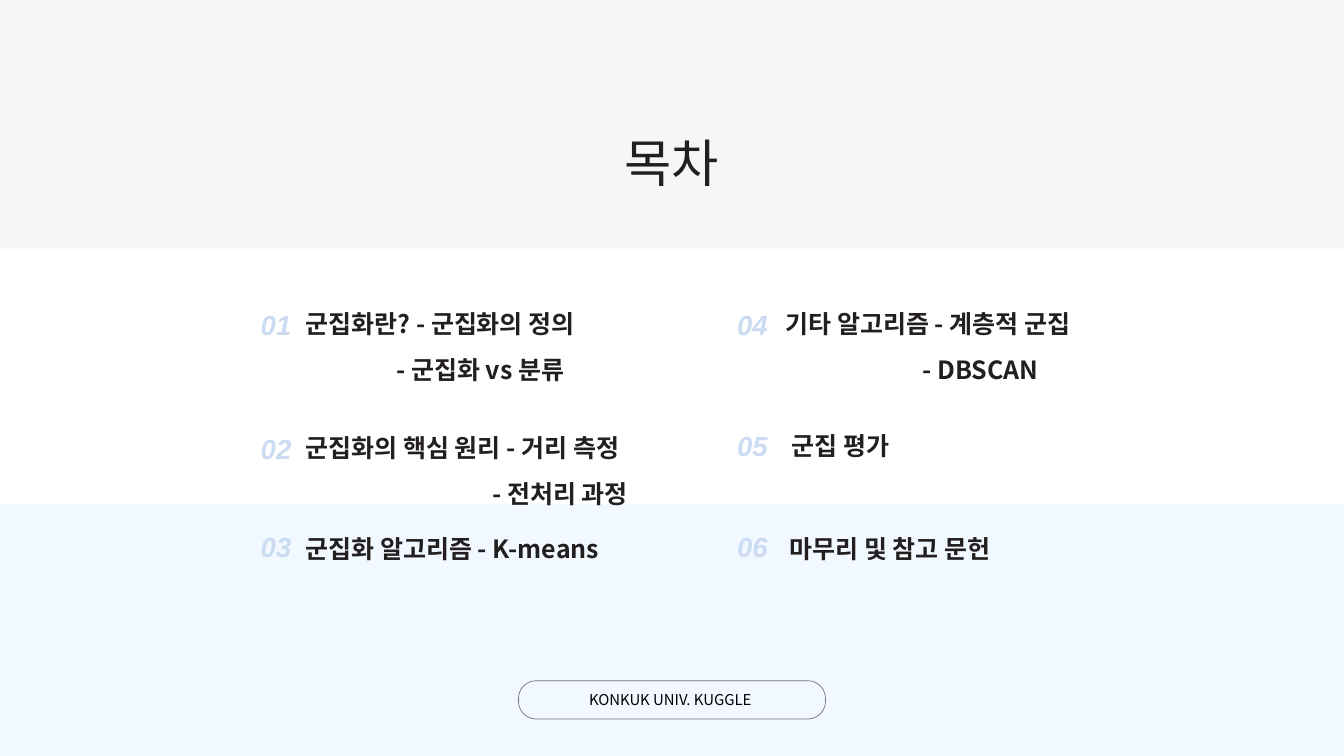
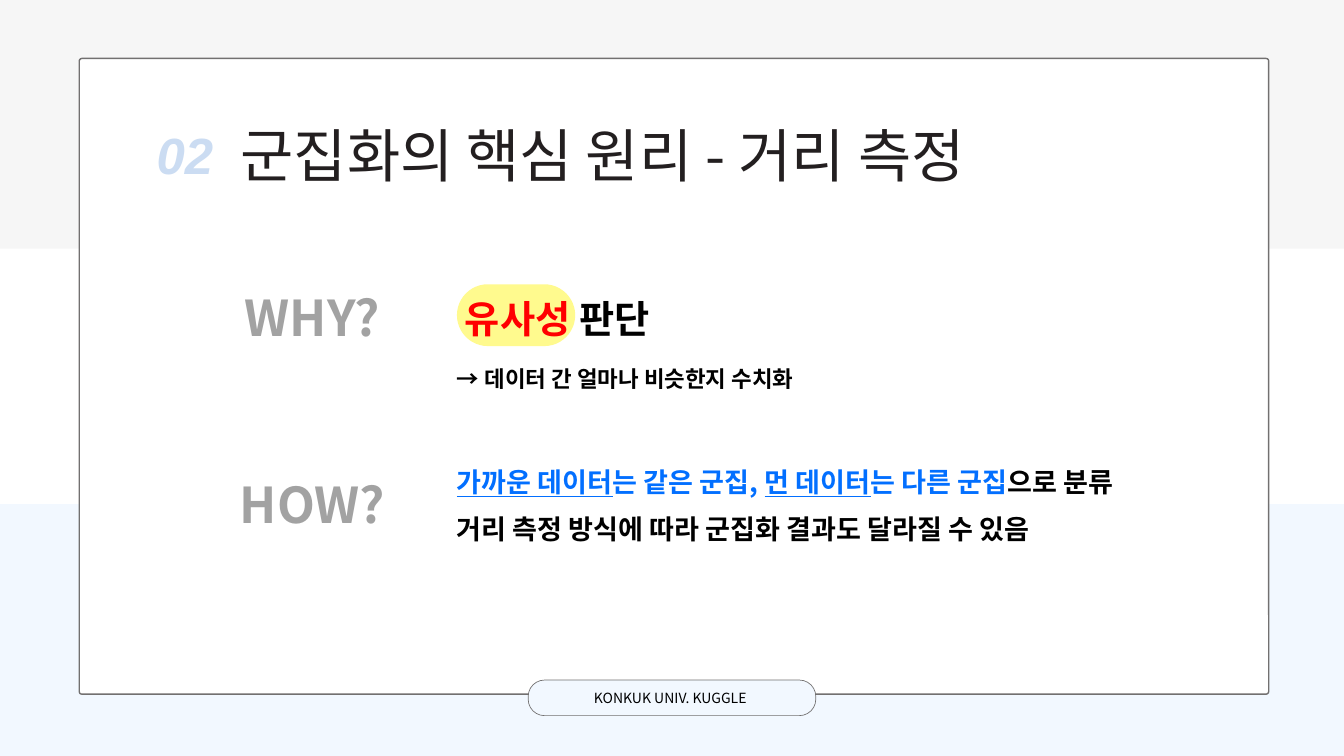
"""Build the contents page and the distance measurement page of a clustering talk."""
from lxml.etree import SubElement
from pptx import Presentation
from pptx.dml.color import RGBColor
from pptx.enum.shapes import MSO_SHAPE as Shape
from pptx.enum.text import MSO_ANCHOR as Anchor, MSO_AUTO_SIZE as AutoSize, PP_ALIGN as Align
from pptx.oxml.ns import qn
from pptx.util import Inches, Pt

FONT = "Noto Sans CJK KR"
NUMBER_FONT = "Liberation Sans"
WHITE = RGBColor(0xFF, 0xFF, 0xFF)
BLACK = RGBColor(0, 0, 0)
INK = RGBColor(0x23, 0x1F, 0x20)
GRAY_BAND = RGBColor(0xF4, 0xF4, 0xF4)
PALE_BLUE = RGBColor(0xF2, 0xF8, 0xFF)
NUMBER_BLUE = RGBColor(0xCB, 0xDC, 0xF2)
OUTLINE = RGBColor(0x72, 0x70, 0x70)
QUESTION_GRAY = RGBColor(0xA2, 0xA2, 0xA2)
YELLOW = RGBColor(0xFF, 0xFA, 0x8E)
RED = RGBColor(0xFF, 0, 0)
BLUE = RGBColor(0x02, 0x6F, 0xFF)

TOPIC_SIZE = 26.8
TOPICS = [
    ("01", 3.88, 4.83, 4.55, 4.52, "군집화란? - 군집화의 정의"),
    ("02", 3.88, 6.67, 4.55, 6.36, "군집화의 핵심 원리 - 거리 측정"),
    ("03", 3.88, 8.13, 4.55, 7.86, "군집화 알고리즘 - K-means"),
    ("04", 10.97, 4.83, 11.69, 4.52, "기타 알고리즘 - 계층적 군집"),
    ("05", 10.97, 6.63, 11.78, 6.33, "군집 평가"),
    ("06", 10.97, 8.13, 11.75, 7.86, "마무리 및 참고 문헌"),
]
SUBTOPICS = [
    (5.9, 5.2, "- 군집화 vs 분류"),
    (7.33, 7.04, "- 전처리 과정"),
    (13.73, 5.2, "- DBSCAN"),
]


def add_block(page, kind, left, top, width, height, fill, line_width=0, radius=None):
    """Add a filled shape, outlined when a line width is given."""
    block = page.shapes.add_shape(kind, Inches(left), Inches(top), Inches(width), Inches(height))
    block.shadow.inherit = False
    block.fill.solid()
    block.fill.fore_color.rgb = fill
    if line_width:
        block.line.color.rgb = OUTLINE
        block.line.width = Pt(line_width)
    else:
        block.line.fill.background()
    if radius is not None:
        block.adjustments[0] = radius
    return block


def add_span(para, text, size, color, bold=False, italic=False, underline=False, font=FONT):
    """Add one run with its full format, for Latin and Korean letters alike."""
    span = para.add_run()
    span.text = text
    span.font.size = Pt(size)
    span.font.bold = bold
    span.font.italic = italic
    span.font.underline = underline
    span.font.color.rgb = color
    span.font.name = font
    SubElement(span._r.get_or_add_rPr(), qn("a:ea"), typeface=font)


def add_text(page, left, top, width, height, lines, size, spacing=None,
             align=Align.LEFT, middle=False, **style):
    """Add a text box; each line is a list of (text, colour, extra style) runs."""
    box = page.shapes.add_textbox(Inches(left), Inches(top), Inches(width), Inches(height))
    frame = box.text_frame
    frame.word_wrap = True
    frame.margin_left = frame.margin_right = frame.margin_top = frame.margin_bottom = 0
    if middle:
        frame.vertical_anchor = Anchor.MIDDLE
    else:
        frame.auto_size = AutoSize.SHAPE_TO_FIT_TEXT
    for index, line in enumerate(lines):
        para = frame.add_paragraph() if index else frame.paragraphs[0]
        para.alignment = align
        if spacing:
            para.line_spacing = Pt(spacing)
        for text, color, extra in line:
            add_span(para, text, size, color, **style, **extra)


def add_line(page, left, top, width, height, text, color, size, spacing, **style):
    """Add a text box with a single run."""
    add_text(page, left, top, width, height, [[(text, color, {})]], size, spacing, **style)


def add_number(page, left, center, text, size):
    """Add a slanted section number centred on a height."""
    add_line(page, left, center - 0.5, 1.2, 1, text, NUMBER_BLUE, size, None,
             middle=True, bold=True, italic=True, font=NUMBER_FONT)


def add_page(deck):
    """Add a page with the gray and pale blue bands."""
    page = deck.slides.add_slide(deck.slide_layouts[6])
    gray = add_block(page, Shape.RECTANGLE, 0, 0, 20, 3.7, GRAY_BAND)
    fill_color = gray._element.spPr.find(qn("a:solidFill")).find(qn("a:srgbClr"))
    SubElement(fill_color, qn("a:alpha"), val="74000")
    add_block(page, Shape.RECTANGLE, 0, 7.5, 20, 3.75, PALE_BLUE)
    return page


def add_footer(page, top, width, height, size):
    """Add the centred club name in a pill."""
    left = (20 - width) / 2
    add_block(page, Shape.ROUNDED_RECTANGLE, left, top, width, height, PALE_BLUE, 0.75, 0.46)
    add_line(page, left, top - 0.05, width - 0.05, height + 0.05, "KONKUK UNIV. KUGGLE",
             BLACK, size, size * 1.4, align=Align.CENTER, middle=True)


def build_contents(deck):
    """Build the table of contents."""
    page = add_page(deck)
    add_footer(page, 10.13, 4.57, 0.57, 16)
    add_line(page, 7.62, 1.8, 4.76, 1.04, "목차", INK, 55, 77, align=Align.CENTER)
    for number, number_left, center, left, top, topic in TOPICS:
        add_number(page, number_left, center, number, 29.5)
        add_line(page, left, top, 5.27, 0.52, topic, INK, TOPIC_SIZE, 37.5, bold=True)
    for left, top, subtopic in SUBTOPICS:
        add_line(page, left, top, 3.5, 0.52, subtopic, INK, TOPIC_SIZE, 37.5, bold=True)


def build_distance(deck):
    """Build the page on why and how distance is measured."""
    page = add_page(deck)
    add_block(page, Shape.ROUNDED_RECTANGLE, 1.18, 0.87, 17.7, 9.46, WHITE, 1.5, 0.004)
    add_footer(page, 10.12, 4.28, 0.53, 15)
    add_number(page, 2.33, 2.3, "02", 54.5)
    add_line(page, 3.58, 1.61, 11.28, 1.16, "군집화의 핵심 원리 - 거리 측정", INK, 62, 86.8)
    for question, top in (("WHY?", 4.13), ("HOW?", 6.91)):
        add_line(page, 3.17, top, 2.96, 0.99, question, QUESTION_GRAY, 52.8, 73.9,
                 align=Align.CENTER, bold=True)
    add_block(page, Shape.ROUNDED_RECTANGLE, 6.8, 4.23, 1.76, 0.92, YELLOW, radius=0.5)
    reason = [("유사성", RED, {}), (" 판단", BLACK, {})]
    add_text(page, 6.8, 4.28, 2.99, 0.75, [reason], 41, 57.4, Align.CENTER, bold=True)
    add_line(page, 6.8, 5.37, 5.55, 0.45, "→ 데이터 간 얼마나 비슷한지 수치화",
             BLACK, 24, 33.6, bold=True)
    rule = [
        ("가까운 데이터", BLUE, {"underline": True}),
        ("는 같은 군집, ", BLUE, {}),
        ("먼 데이터", BLUE, {"underline": True}),
        ("는 다른 군집", BLUE, {}),
        ("으로 분류", BLACK, {}),
    ]
    effect = [("거리 측정 방식에 따라 군집화 결과도 달라질 수 있음", BLACK, {})]
    add_text(page, 6.8, 6.7, 10.28, 1.35, [rule, effect], 29, 50.7, bold=True)


def main():
    """Build both pages and save the deck."""
    deck = Presentation()
    deck.slide_width = Inches(20)
    deck.slide_height = Inches(11.25)
    build_contents(deck)
    build_distance(deck)
    deck.save("out.pptx")


if __name__ == "__main__":
    main()
